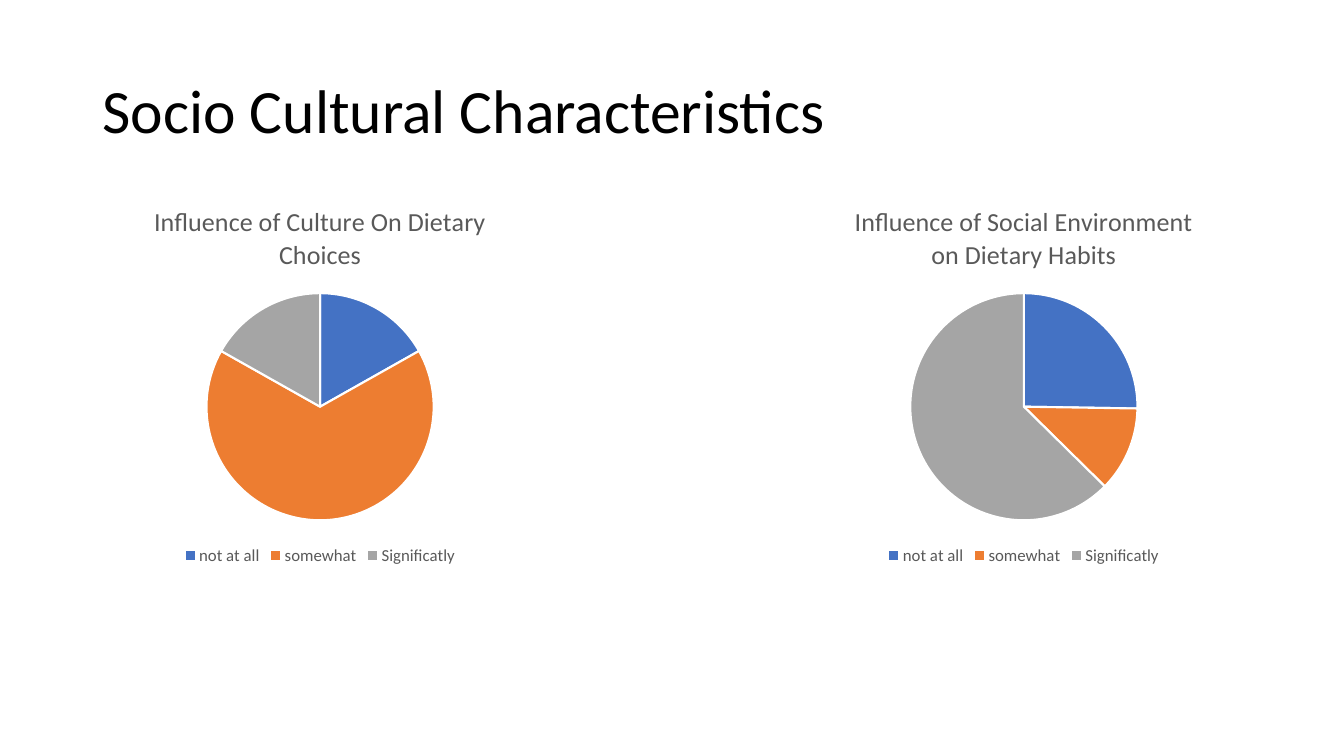
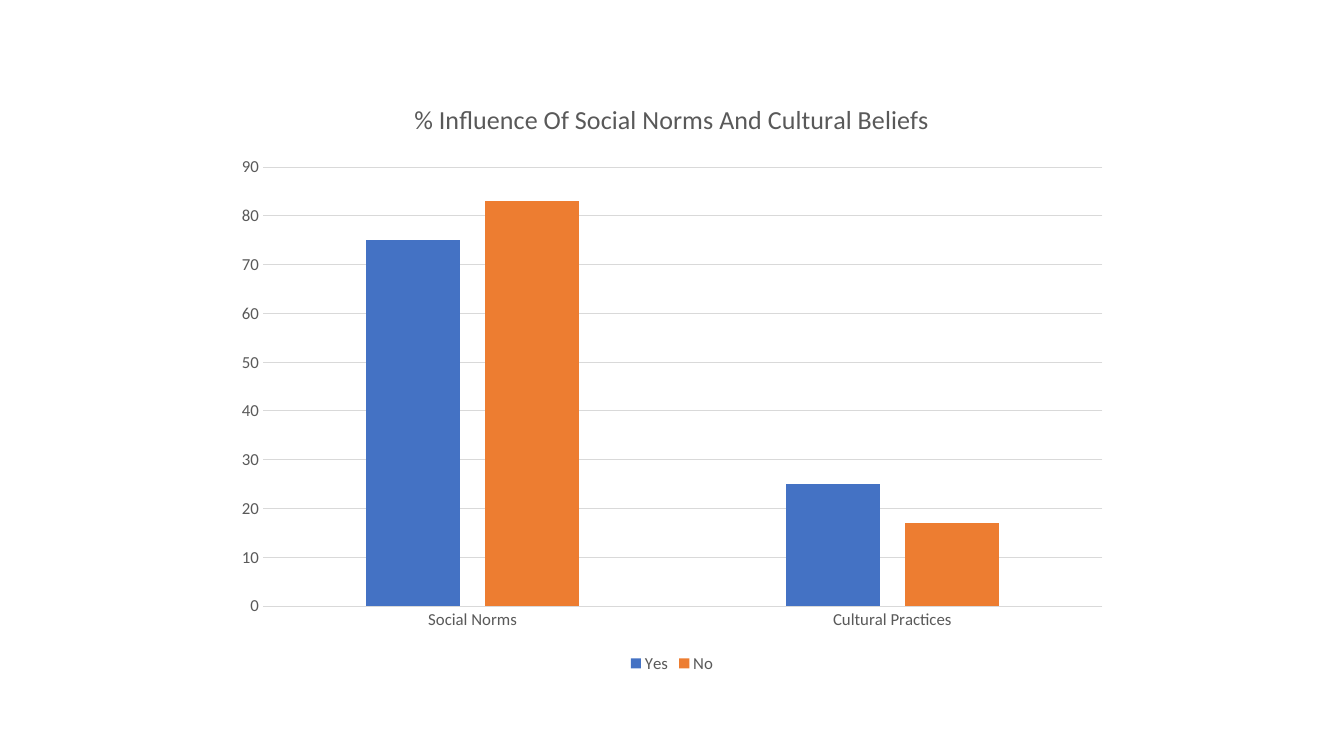
from dataclasses import dataclass

from pptx import Presentation
from pptx.chart.data import CategoryChartData
from pptx.dml.color import RGBColor
from pptx.enum.chart import XL_CHART_TYPE, XL_LEGEND_POSITION, XL_TICK_MARK
from pptx.enum.text import MSO_ANCHOR
from pptx.util import Inches, Pt

PIE = XL_CHART_TYPE.PIE
COLUMN = XL_CHART_TYPE.COLUMN_CLUSTERED
BOTTOM = XL_LEGEND_POSITION.BOTTOM
NO_TICK = XL_TICK_MARK.NONE
MIDDLE = MSO_ANCHOR.MIDDLE


@dataclass(frozen=True)
class Theme:
    font: str = "Calibri"
    ink: str = "000000"
    muted: str = "595959"
    rule: str = "D9D9D9"
    white: str = "FFFFFF"
    accents: tuple = ("4472C4", "ED7D31", "A5A5A5")
    title_size: float = 44
    chart_title_size: float = 18.6
    label_size: float = 12
    rule_width: float = 0.75
    slice_border: float = 1.5


THEME = Theme()
PIE_ANSWERS = ("not at all", "somewhat", "Significatly")
PIES = (
    (0.91, "Influence of Culture On Dietary Choices", (17, 67, 17)),
    (7.89, "Influence of Social Environment on Dietary Habits", (25, 12, 62)),
)
NORMS = {"Yes": (75, 25), "No": (83, 17)}


def rgb(value):
    return RGBColor.from_string(value)


def set_font(font, size, color):
    values = {"name": THEME.font, "size": Pt(size), "bold": False}
    for name, value in values.items():
        setattr(font, name, value)
    font.color.rgb = rgb(color)


def set_fill(fill, color):
    fill.solid()
    fill.fore_color.rgb = rgb(color)


def set_line(line, color, width):
    line.color.rgb = rgb(color)
    line.width = Pt(width)


def add_title(slide, text):
    box = slide.shapes.add_textbox(Inches(0.92), Inches(0.4), Inches(11.5), Inches(1.45))
    tf = box.text_frame
    for name, value in {"word_wrap": True, "vertical_anchor": MIDDLE}.items():
        setattr(tf, name, value)
    p = tf.paragraphs[0]
    p.line_spacing = 0.9
    r = p.add_run()
    r.text = text
    set_font(r.font, THEME.title_size, THEME.ink)


def add_chart(slide, kind, box, title, categories, series):
    data = CategoryChartData()
    data.categories = categories
    for name, values in series.items():
        data.add_series(name, values)
    chart = slide.shapes.add_chart(kind, *map(Inches, box), data).chart
    set_font(chart.font, THEME.label_size, THEME.muted)
    chart.has_title = True
    p = chart.chart_title.text_frame.paragraphs[0]
    r = p.add_run()
    r.text = title
    set_font(r.font, THEME.chart_title_size, THEME.muted)
    chart.has_legend = True
    legend = chart.legend
    for name, value in {"position": BOTTOM, "include_in_layout": False}.items():
        setattr(legend, name, value)
    set_font(legend.font, THEME.label_size, THEME.muted)
    return chart


def add_pie(slide, left, title, values):
    chart = add_chart(slide, PIE, (left, 1.84, 4.53, 3.81), title,
                      PIE_ANSWERS, {"Series 1": values})
    plot = chart.plots[0]
    plot.vary_by_categories = True
    for i, color in enumerate(THEME.accents):
        fmt = plot.series[0].points[i].format
        set_fill(fmt.fill, color)
        set_line(fmt.line, THEME.white, THEME.slice_border)


def style_axis(axis):
    for name in ("major_tick_mark", "minor_tick_mark"):
        setattr(axis, name, NO_TICK)
    set_font(axis.tick_labels.font, THEME.label_size, THEME.muted)


def add_columns(slide, box, title, categories, series):
    chart = add_chart(slide, COLUMN, box, title, categories, series)
    plot = chart.plots[0]
    for name, value in {"gap_width": 219, "overlap": -27, "vary_by_categories": False}.items():
        setattr(plot, name, value)
    for column, color in zip(plot.series, THEME.accents):
        set_fill(column.format.fill, color)
    for axis in (chart.category_axis, chart.value_axis):
        style_axis(axis)
    set_line(chart.category_axis.format.line, THEME.rule, THEME.rule_width)
    value_axis = chart.value_axis
    limits = {"minimum_scale": 0, "maximum_scale": 90, "major_unit": 10}
    for name, value in limits.items():
        setattr(value_axis, name, value)
    value_axis.format.line.fill.background()
    set_line(value_axis.major_gridlines.format.line, THEME.rule, THEME.rule_width)


def add_slide(prs):
    s = prs.slides.add_slide(prs.slide_layouts[6])
    set_fill(s.background.fill, THEME.white)
    return s


def main():
    prs = Presentation()
    prs.slide_width, prs.slide_height = Inches(13.33), Inches(7.5)

    s = add_slide(prs)
    add_title(s, "Socio Cultural Characteristics")
    for left, title, values in PIES:
        add_pie(s, left, title, values)

    s = add_slide(prs)
    add_columns(s, (2.22, 0.79, 8.89, 5.93),
                "% Influence Of Social Norms And Cultural Beliefs",
                ("Social Norms", "Cultural Practices"), NORMS)

    prs.save("out.pptx")


if __name__ == "__main__":
    main()
